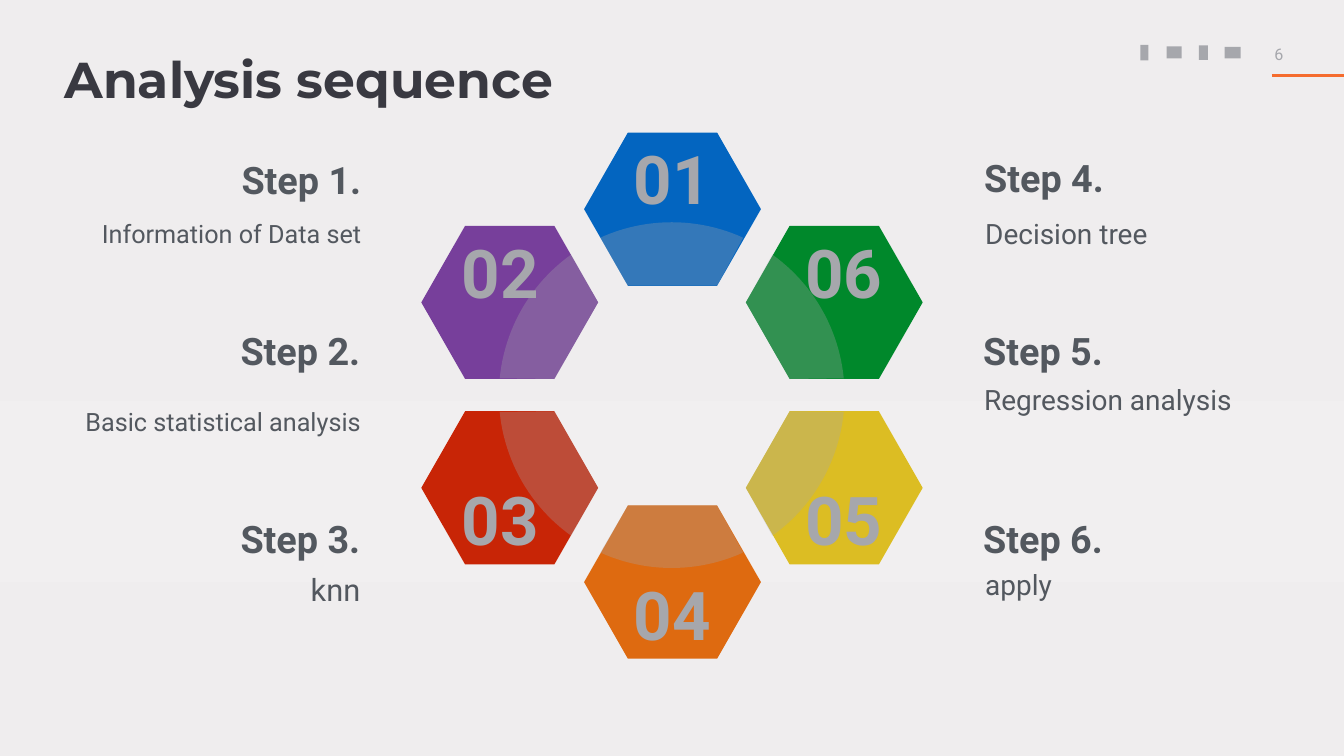
from dataclasses import dataclass
from math import cos, radians, sin

from lxml.etree import SubElement
from pptx import Presentation
from pptx.dml.color import RGBColor
from pptx.enum.shapes import MSO_CONNECTOR, MSO_SHAPE
from pptx.enum.text import MSO_ANCHOR, MSO_AUTO_SIZE, PP_ALIGN
from pptx.oxml.ns import qn
from pptx.util import Inches, Pt

LEFT, RIGHT = PP_ALIGN.LEFT, PP_ALIGN.RIGHT
MID, JUST = PP_ALIGN.CENTER, PP_ALIGN.JUSTIFY
TOP, BASE = MSO_ANCHOR.TOP, MSO_ANCHOR.BOTTOM


@dataclass(frozen=True)
class Theme:
    head: str = "Montserrat"
    body: str = "Roboto"
    dark: str = "393941"
    ink: str = "53585F"
    gray: str = "A6A7AC"
    warm: str = "F56C2E"
    back: tuple = ((0, "EFEDEE"), (53, "F1EFF0"), (77, "EFEDEE"), (100, "EFEBEC"))
    title: int = 72
    digit: int = 96
    step: int = 54
    page: int = 23


class Deck:
    """Hold the theme and the current slide, and draw each kind of element."""

    def __init__(self, theme):
        self.theme = theme
        self.file = Presentation()
        self.file.slide_width, self.file.slide_height = Inches(26.67), Inches(15)
        self.slide = self.file.slides.add_slide(self.file.slide_layouts[5])
        self.shapes = self.slide.shapes

    def back(self):
        fill = self.slide.background.fill
        fill.gradient()
        fill.gradient_angle = 270
        stops = self.slide.element.find(".//" + qn("a:gsLst"))
        stops.clear()
        for spot, tone in self.theme.back:
            stop = SubElement(stops, qn("a:gs"), pos=str(spot * 1000))
            SubElement(stop, qn("a:srgbClr"), val=tone)

    def words(self, shape, words, size, tone, font=None, bold=False,
              align=LEFT, anchor=TOP, pads=(0.1, 0.05, 0.1, 0.05)):
        frame = shape.text_frame
        frame.word_wrap = True
        frame.vertical_anchor = anchor
        (frame.margin_left, frame.margin_top,
         frame.margin_right, frame.margin_bottom) = map(Inches, pads)
        para = frame.paragraphs[0]
        para.alignment = align
        run = para.add_run()
        run.text = words
        run.font.size, run.font.bold = Pt(size), bold
        run.font.name = font or self.theme.body
        run.font.color.rgb = RGBColor.from_string(tone)
        return frame

    def title(self, words, box):
        shape = self.shapes.title
        shape.left, shape.top, shape.width, shape.height = map(Inches, box)
        frame = self.words(shape, words, self.theme.title, self.theme.dark,
                           self.theme.head, True, pads=(0.04,) * 4)
        frame.auto_size = MSO_AUTO_SIZE.NONE
        frame.paragraphs[0].line_spacing = 0.8

    def text(self, words, box, size, tone, home=None, **style):
        shape = (home or self.shapes).add_textbox(*map(Inches, box))
        return self.words(shape, words, size, tone, **style)

    def step(self, head, note, size, side, head_at, note_at):
        group = self.shapes.add_group_shape().shapes
        style = dict(home=group, align=side, anchor=MSO_ANCHOR.MIDDLE, pads=(0, 0.05, 0, 0.05))
        tall = round(size * 1.17 / 72 + 0.12, 2)
        for words, spot, high, points, bold in (
                (head, head_at, 1.01, self.theme.step, True),
                (note, note_at, tall, size, False)):
            frame = self.text(words, (*spot, 6.42, high), points, self.theme.ink,
                              bold=bold, **style)
            frame.auto_size = MSO_AUTO_SIZE.SHAPE_TO_FIT_TEXT

    def paint(self, shape, tone):
        shape.shadow.inherit = False
        shape.fill.solid()
        shape.fill.fore_color.rgb = RGBColor.from_string(tone)
        shape.line.fill.background()
        return shape

    def form(self, points, tone):
        first, *rest = [(Inches(x), Inches(y)) for x, y in points]
        pen = self.shapes.build_freeform(*first)
        pen.add_line_segments(rest, close=True)
        return self.paint(pen.convert_to_shape(), tone)

    def hex(self, points, words, tone, **style):
        self.words(self.form(points, tone), words, self.theme.digit,
                   self.theme.gray, bold=True, **style)

    def lens(self, turn, ends):
        arc = [radians(turn + 24.4 * k / 12) for k in range(-12, 13)]
        curve = [(13.33 + 3.43 * cos(a), 7.84 + 3.43 * sin(a)) for a in arc]
        shape = self.form(curve + ends, self.theme.gray)
        tint = shape.element.find(".//" + qn("a:srgbClr"))
        SubElement(tint, qn("a:alpha"), val="30000")

    def icon(self, box):
        self.paint(self.shapes.add_shape(MSO_SHAPE.RECTANGLE, *map(Inches, box)),
                   self.theme.gray)

    def line(self, ends, tone, width):
        rule = self.shapes.add_connector(MSO_CONNECTOR.STRAIGHT, *map(Inches, ends))
        rule.line.color.rgb = RGBColor.from_string(tone)
        rule.line.width = Pt(width)
        SubElement(rule.element.spPr, qn("a:effectLst"))


def points(left, top):
    wide, high, cut = 3.51, 3.04, 0.87
    near, far, low = left + cut, left + wide - cut, top + high
    half = top + high / 2
    return [(left, half), (near, top), (far, top),
            (left + wide, half), (far, low), (near, low)]


def main():
    theme = Theme()
    deck = Deck(theme)
    deck.back()
    for box in ((22.63, 0.89, 0.16, 0.31), (23.15, 0.92, 0.3, 0.24),
                (23.79, 0.9, 0.18, 0.29), (24.3, 0.93, 0.32, 0.23)):
        deck.icon(box)
    deck.line((25.24, 1.5, 27.03, 1.5), theme.warm, 4)
    deck.title("Analysis sequence", (1.24, 1.15, 23, 1.62))

    mid, east, west = (0.2, 0.1, 0.2, 0.1), (0.2, 0.1, 0.8, 0.1), (0.8, 0.1, 0.2, 0.1)
    ring = (
        ("01", "0365C0", 11.59, 2.63, MID, TOP, mid),
        ("06", "00882B", 14.8, 4.48, RIGHT, TOP, east),
        ("05", "DCBD23", 14.8, 8.16, RIGHT, BASE, east),
        ("04", "DE6A10", 11.59, 10.03, MID, BASE, mid),
        ("03", "C82506", 8.36, 8.16, JUST, BASE, west),
        ("02", "773F9B", 8.36, 4.48, JUST, TOP, west),
    )
    for words, tone, left, top, align, anchor, pads in ring:
        deck.hex(points(left, top), words, tone, align=align, anchor=anchor, pads=pads)
    for i, (_, _, left, top, *_) in enumerate(ring):
        edge = points(left, top)
        deck.lens(60 * i - 90, [edge[(4 + i) % 6], edge[(5 + i) % 6]])

    for step in (
            ("Step 5.", "Regression analysis", 40, LEFT, (19.51, 6.45), (19.53, 7.53)),
            ("Step 6.", "apply", 40, LEFT, (19.51, 10.18), (19.55, 11.21)),
            ("Step 2.", "Basic statistical analysis", 36, RIGHT, (0.73, 6.45), (0.74, 8.01)),
            ("Step 3.", "knn", 44, RIGHT, (0.73, 10.18), (0.73, 11.28)),
            ("Step 4.", "Decision tree", 40, LEFT, (19.53, 3.01), (19.55, 4.24)),
            ("Step 1.", "Information of Data set", 36, RIGHT, (0.75, 3.06), (0.75, 4.28))):
        deck.step(*step)
    deck.text("6", (25.19, 0.83, 0.66, 0.42), theme.page, theme.gray, align=JUST)
    deck.file.save("out.pptx")


if __name__ == "__main__":
    main()
